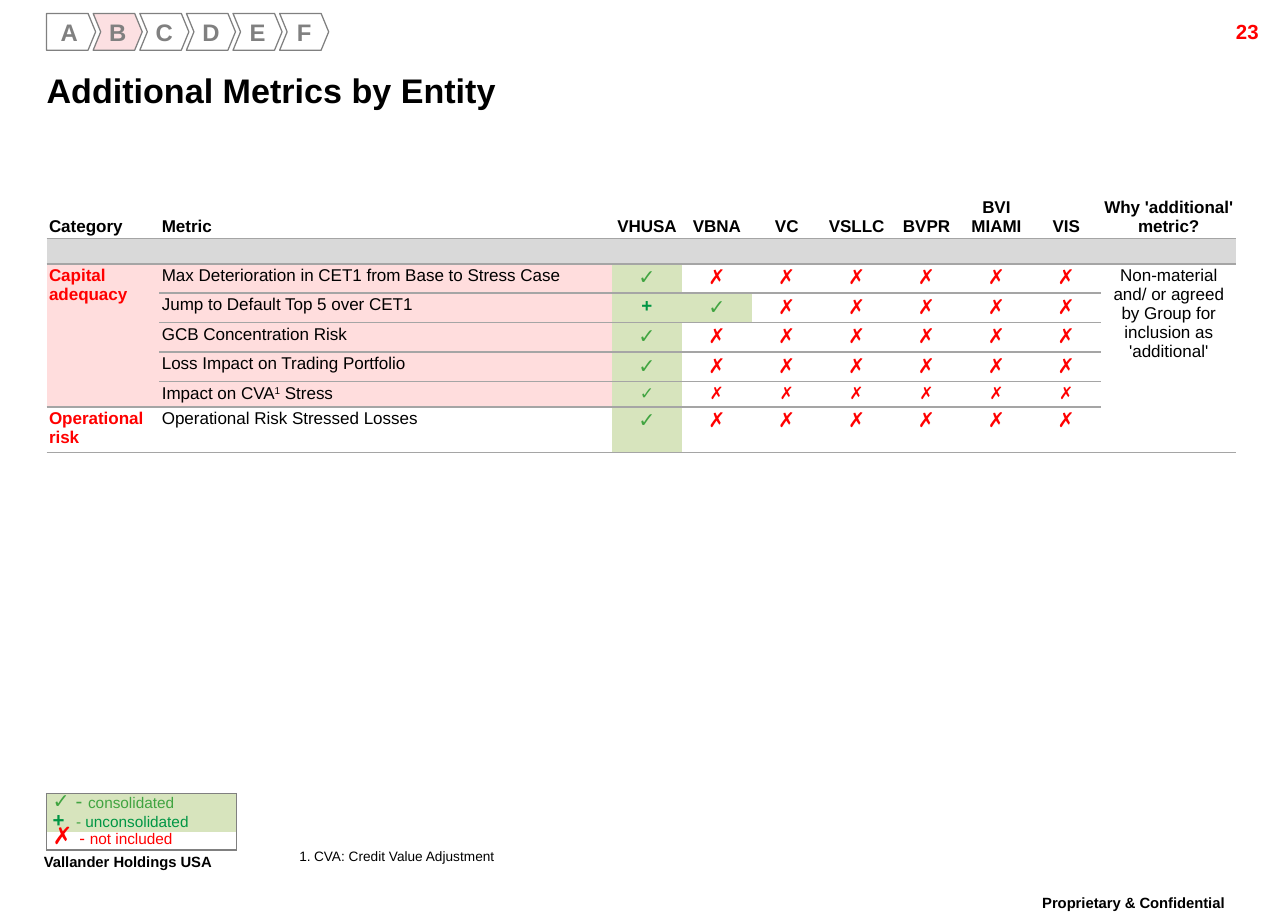
from dataclasses import dataclass

from lxml.etree import SubElement
from pptx import Presentation
from pptx.dml.color import RGBColor
from pptx.enum.shapes import MSO_SHAPE
from pptx.enum.text import MSO_ANCHOR, PP_ALIGN
from pptx.oxml.ns import qn
from pptx.util import Inches, Pt


@dataclass(frozen=True)
class Theme:
    font: str = "Arial"
    black: str = "000000"
    white: str = "FFFFFF"
    red: str = "FF0000"
    gray: str = "808080"
    rule: str = "A5A5A5"
    band: str = "D9D9D9"
    pink: str = "FFDDDD"
    current: str = "FCE0E2"
    pale_green: str = "D7E4BD"
    check_green: str = "41A441"
    plus_green: str = "009644"
    title: int = 20
    footer: int = 15
    letter: int = 14
    mark: int = 12
    plus: int = 11
    body: int = 10
    legend: int = 9
    note: int = 8


THEME = Theme()
CHECK, PLUS, CROSS = "✓", "+", "✗"
MARK_COLORS = {CHECK: THEME.check_green, PLUS: THEME.plus_green, CROSS: THEME.red}
NO_STYLE = "{2D5ABB26-0587-4C30-8999-92F81FD0307C}"

SECTIONS = "ABCDEF"
CURRENT_SECTION = "B"
HEADERS = ["Category", "Metric", "VHUSA", "VBNA", "VC", "VSLLC", "BVPR",
           "BVI MIAMI", "VIS", "Why 'additional' metric?"]
COLUMN_WIDTHS = [0.92, 3.69] + [0.57] * 7 + [1.1]
ROW_HEIGHTS = [0.35, 0.2] + [0.23] * 4 + [0.19, 0.35]
FIRST_METRIC_ROW = 2
CATEGORIES = {2: ("Capital adequacy", 6, THEME.pink),
              7: ("Operational risk", 7, THEME.white)}
REASON = "Non-material and/ or agreed by Group for inclusion as 'additional'"
# Metric text pieces (every second one is raised), marks, mark size
METRICS = [
    (["Max Deterioration in CET1 from Base to Stress Case"], CHECK + CROSS * 6, THEME.mark),
    (["Jump to Default Top 5 over CET1"], PLUS + CHECK + CROSS * 5, THEME.mark),
    (["GCB Concentration Risk"], CHECK + CROSS * 6, THEME.mark),
    (["Loss Impact on Trading Portfolio"], CHECK + CROSS * 6, THEME.mark),
    (["Impact on CVA", "1", " Stress"], CHECK + CROSS * 6, THEME.body),
    (["Operational Risk Stressed Losses"], CHECK + CROSS * 6, THEME.mark),
]


def add_span(para, text, size=THEME.body, color=THEME.black, bold=False, raised=False):
    span = para.add_run()
    span.text = text
    span.font.name = THEME.font
    span.font.size = Pt(size)
    span.font.bold = bold
    span.font.color.rgb = RGBColor.from_string(color)
    if raised:
        span.font._element.set("baseline", "30000")
    return span


def add_box(page, left, top, width, height, align=PP_ALIGN.LEFT, inset=True, wrap=True):
    box = page.shapes.add_textbox(Inches(left), Inches(top), Inches(width), Inches(height))
    frame = box.text_frame
    frame.word_wrap = wrap
    if not inset:
        frame.margin_left = frame.margin_right = frame.margin_top = frame.margin_bottom = 0
    frame.paragraphs[0].alignment = align
    return frame


def add_section_tab(page, index, letter):
    kind = MSO_SHAPE.CHEVRON if index else MSO_SHAPE.PENTAGON
    tab = page.shapes.add_shape(kind, Inches(0.38 + 0.38 * index), Inches(0.11),
                                Inches(0.4), Inches(0.3))
    tab.adjustments[0] = 0.206
    tab.shadow.inherit = False
    tab.fill.solid()
    fill = THEME.current if letter == CURRENT_SECTION else THEME.white
    tab.fill.fore_color.rgb = RGBColor.from_string(fill)
    tab.line.color.rgb = RGBColor.from_string(THEME.gray)
    tab.line.width = Pt(0.75)
    frame = tab.text_frame
    frame.margin_left = frame.margin_right = frame.margin_top = frame.margin_bottom = 0
    frame.vertical_anchor = MSO_ANCHOR.MIDDLE
    frame.paragraphs[0].alignment = PP_ALIGN.CENTER
    add_span(frame.paragraphs[0], letter, size=THEME.letter, color=THEME.gray, bold=True)


def add_grid(page, left, top, widths, heights):
    holder = page.shapes.add_table(len(heights), len(widths), Inches(left), Inches(top),
                                   Inches(sum(widths)), Inches(sum(heights)))
    grid = holder.table
    grid.first_row = grid.horz_banding = False
    grid._tbl.tblPr.find(qn("a:tableStyleId")).text = NO_STYLE
    for column, width in zip(grid.columns, widths):
        column.width = Inches(width)
    for row, height in zip(grid.rows, heights):
        row.height = Inches(height)
    return grid


def format_cell(cell, fill, sides, line, margins, anchor=MSO_ANCHOR.TOP, align=PP_ALIGN.LEFT):
    """Sides are letters in the order L, R, T, B; margins are left, right, top, bottom."""
    cell.margin_left, cell.margin_right, cell.margin_top, cell.margin_bottom = map(Inches, margins)
    cell.vertical_anchor = anchor
    properties = cell._tc.get_or_add_tcPr()
    for side in sides:
        border = SubElement(properties, qn(f"a:ln{side}"), w=str(Pt(1)))
        SubElement(SubElement(border, qn("a:solidFill")), qn("a:srgbClr"), val=line)
    cell.fill.solid()
    cell.fill.fore_color.rgb = RGBColor.from_string(fill)
    para = cell.text_frame.paragraphs[0]
    para.alignment = align
    return para


def add_metrics_table(page):
    grid = add_grid(page, 0.38, 1.57, COLUMN_WIDTHS, ROW_HEIGHTS)
    last_row, last_column = len(ROW_HEIGHTS) - 1, len(HEADERS) - 1

    def fill_cell(row, column, fill=THEME.white, sides="B", **layout):
        return format_cell(grid.cell(row, column), fill, sides, THEME.rule, [0.02] * 4, **layout)

    # Header and gray band
    for column, header in enumerate(HEADERS):
        align = PP_ALIGN.CENTER if column > 1 else PP_ALIGN.LEFT
        para = fill_cell(0, column, anchor=MSO_ANCHOR.BOTTOM, align=align)
        add_span(para, header, bold=True)
        para = fill_cell(1, column, fill=THEME.band)
        SubElement(para._p, qn("a:endParaRPr"), sz=str(THEME.body * 100))
    grid.cell(1, 0).merge(grid.cell(1, last_column))

    # Categories and reason, each over several rows
    blocks = [(first, last, 0, fill, PP_ALIGN.LEFT, name, THEME.red, True)
              for first, (name, last, fill) in CATEGORIES.items()]
    blocks.append((FIRST_METRIC_ROW, last_row, last_column, THEME.white,
                   PP_ALIGN.CENTER, REASON, THEME.black, False))
    for first, last, column, fill, align, text, color, bold in blocks:
        for row in range(first, last + 1):
            para = fill_cell(row, column, fill=fill, align=align,
                             sides="B" if row in (first, last) else "")
            if row == first:
                add_span(para, text, color=color, bold=bold)
        if last > first:
            grid.cell(first, column).merge(grid.cell(last, column))

    # Metrics and marks
    for row, (pieces, marks, size) in enumerate(METRICS, FIRST_METRIC_ROW):
        para = fill_cell(row, 1, fill=THEME.white if row == last_row else THEME.pink)
        for index, piece in enumerate(pieces):
            add_span(para, piece, raised=index % 2 == 1)
        for column, mark in enumerate(marks, 2):
            fill = THEME.white if mark == CROSS else THEME.pale_green
            para = fill_cell(row, column, fill=fill, align=PP_ALIGN.CENTER)
            add_span(para, mark, size=THEME.plus if mark == PLUS else size,
                     color=MARK_COLORS[mark], bold=mark == PLUS)


def add_legend(page):
    # Mark, mark size, gap, dash size, dash color, label
    entries = [(CHECK, THEME.mark, " ", THEME.mark, THEME.check_green, "consolidated"),
               (PLUS, THEME.mark, "\t", THEME.legend, THEME.check_green, "unconsolidated"),
               (CROSS, THEME.letter, " ", THEME.body, THEME.red, "not included")]
    grid = add_grid(page, 0.38, 6.47, [1.55], [0.16, 0.15, 0.15])
    for row, (mark, size, gap, dash_size, dash_color, label) in enumerate(entries):
        color = MARK_COLORS[mark]
        para = format_cell(grid.cell(row, 0),
                           THEME.white if mark == CROSS else THEME.pale_green,
                           ("LRT", "LR", "LRB")[row], THEME.gray, [0.05, 0, 0, 0],
                           anchor=MSO_ANCHOR.BOTTOM)
        para.line_spacing = Pt(9)
        if gap == "\t":
            tabs = SubElement(para._p.get_or_add_pPr(), qn("a:tabLst"))
            SubElement(tabs, qn("a:tab"), pos=str(Inches(0.19)), algn="l")
        add_span(para, mark + gap, size=size, color=color, bold=mark == PLUS)
        add_span(para, "- ", size=dash_size, color=dash_color)
        add_span(para, label, size=THEME.legend, color=color)


def add_footnote(page):
    para = add_box(page, 2.44, 6.93, 5.47, 0.12, inset=False).paragraphs[0]
    para.line_spacing = 0.86
    properties = para._p.get_or_add_pPr()
    properties.set("marL", str(Inches(0.12)))
    properties.set("indent", str(-Inches(0.12)))
    SubElement(properties, qn("a:buAutoNum"), type="arabicPeriod")
    add_span(para, "CVA: Credit Value Adjustment", size=THEME.note)


def add_footer(page, text, left, top, width, **layout):
    para = add_box(page, left, top, width, 0.35, **layout).paragraphs[0]
    para.line_spacing = 0.86
    add_span(para, text, size=THEME.footer, bold=True, raised=True)


def main():
    deck = Presentation()
    deck.slide_width, deck.slide_height = Inches(10.5), Inches(7.5)
    page = deck.slides.add_slide(deck.slide_layouts[6])

    # Footers and page number
    add_footer(page, "Proprietary & Confidential", 8.15, 7.25, 2.18, align=PP_ALIGN.CENTER)
    add_footer(page, "Vallander Holdings USA", 0.26, 6.91, 1.91, wrap=False)
    number = add_box(page, 9.36, 0.11, 1, 0.24, align=PP_ALIGN.RIGHT)
    add_span(number.paragraphs[0], "23", size=THEME.mark, color=THEME.red, bold=True)

    # Title
    title = add_box(page, 0.38, 0.49, 9.48, 0.48, inset=False)
    title.vertical_anchor = MSO_ANCHOR.MIDDLE
    add_span(title.paragraphs[0], "Additional Metrics by Entity", size=THEME.title, bold=True)

    # Content
    add_metrics_table(page)
    add_footnote(page)
    add_legend(page)
    for index, letter in enumerate(SECTIONS):
        add_section_tab(page, index, letter)

    deck.save("out.pptx")


if __name__ == "__main__":
    main()
